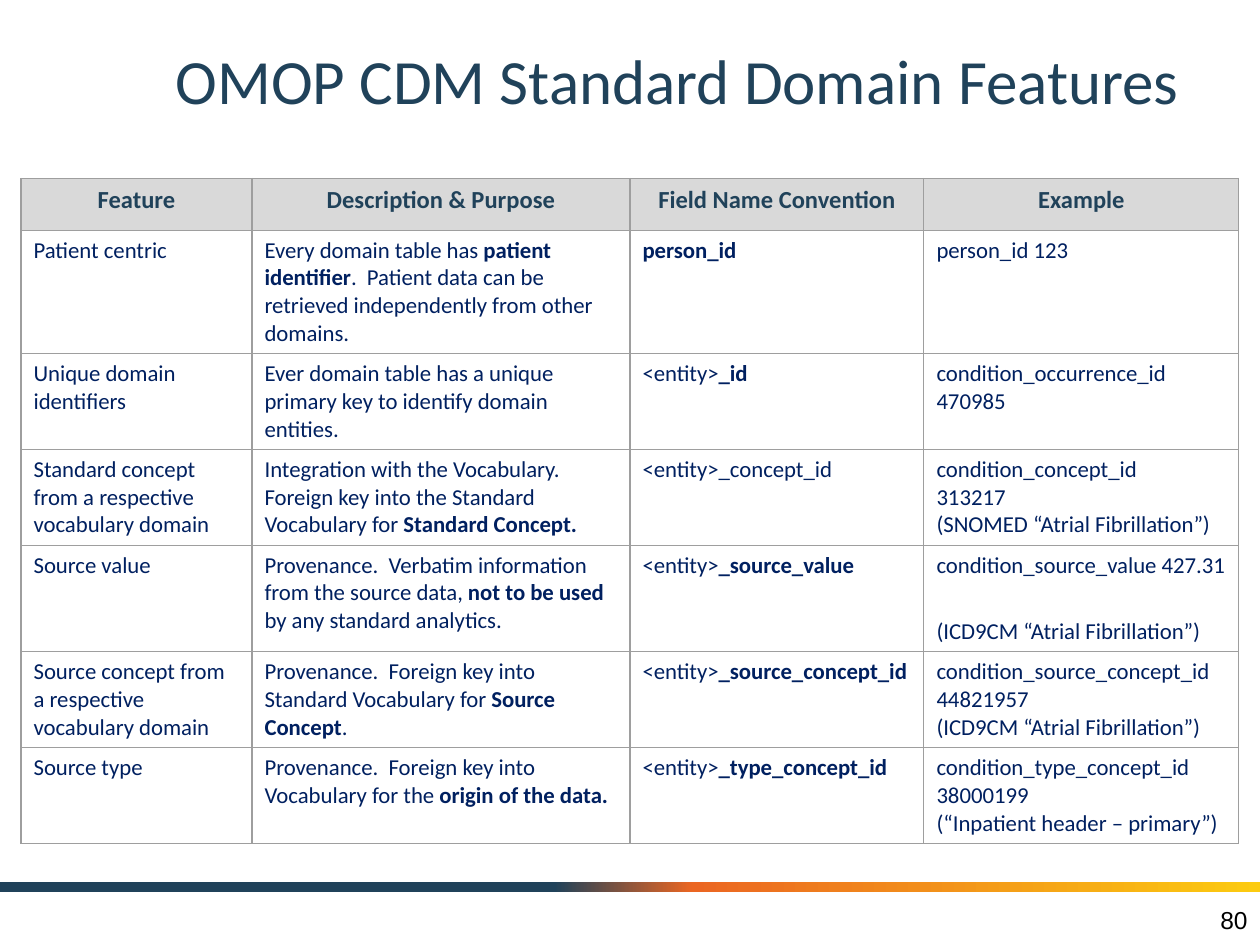
from copy import deepcopy

from lxml import etree
from pptx import Presentation
from pptx.dml.color import RGBColor
from pptx.enum import shapes, text
from pptx.oxml import ns
from pptx.util import Pt

# Content: ** switches bold on and off, a newline is a line break
TITLE = "OMOP CDM Standard Domain Features"
PAGE_NUMBER = "80"
HEADER = ["Feature", "Description & Purpose", "Field Name Convention", "Example"]
FEATURES = [
    ["Patient centric",
     "Every domain table has **patient identifier**.  Patient data can be "
     "retrieved independently from other domains.",
     "**person_id**",
     "person_id 123"],
    ["Unique domain identifiers",
     "Ever domain table has a unique primary key to identify domain entities.",
     "<entity>**_id**",
     "condition_occurrence_id 470985"],
    ["Standard concept from a respective vocabulary domain",
     "Integration with the Vocabulary.\nForeign key into the Standard "
     "Vocabulary for **Standard Concept.**",
     "<entity>_concept_id",
     "condition_concept_id \n313217 \n(SNOMED “Atrial Fibrillation”)"],
    ["Source value",
     "Provenance.  Verbatim information from the source data, "
     "**not to be used **by any standard analytics.",
     "<entity>**_source_value**",
     "condition_source_value 427.31 \n(ICD9CM “Atrial Fibrillation”)"],
    ["Source concept from a respective vocabulary domain",
     "Provenance.  Foreign key into Standard Vocabulary for **Source Concept**.",
     "<entity>**_source_concept_id**",
     "condition_source_concept_id 44821957 \n(ICD9CM “Atrial Fibrillation”)"],
    ["Source type",
     "Provenance.  Foreign key into Vocabulary for the **origin of the data.**",
     "<entity>**_type_concept_id**",
     "condition_type_concept_id 38000199 \n(“Inpatient header – primary”)"],
]
COLUMN_WIDTHS = [132, 216, 168, 180]
ROW_HEIGHT = 29.5  # minimum; rows grow with their text
TEAL, NAVY, GREY, BORDER = "20425A", "002060", "D9D9D9", "9E9E9E"
BAND_STOPS = [(0, TEAL), (0.44, TEAL), (0.55, "EB6622"), (1, "FCCB10")]


def color(value):
    return RGBColor.from_string(value)


def write(frame, content, size, ink, font="Calibri", bold=False, align=None):
    para = frame.paragraphs[0]
    para.alignment = align
    for index, part in enumerate(content.split("**")):
        for number, line in enumerate(part.split("\n")):
            if number:
                para.add_line_break()
            if line:
                span = para.add_run()
                span.text = line
                span.font.name = font
                span.font.size = Pt(size)
                span.font.bold = bold or index % 2 == 1
                span.font.color.rgb = color(ink)


def add_borders(cell):
    properties = cell._tc.get_or_add_tcPr()
    for index, side in enumerate(("lnL", "lnR", "lnT", "lnB")):
        line = etree.Element(ns.qn("a:" + side), w=str(Pt(0.75)))
        fill = etree.SubElement(line, ns.qn("a:solidFill"))
        etree.SubElement(fill, ns.qn("a:srgbClr"), val=BORDER)
        properties.insert(index, line)


deck = Presentation()
deck.slide_width, deck.slide_height = Pt(720), Pt(540)
page = deck.slides.add_slide(deck.slide_layouts[5])

# Gradient band above the footer
band = page.shapes.add_shape(
    shapes.MSO_SHAPE.RECTANGLE, Pt(0), Pt(504), Pt(720), Pt(5.76))
band.shadow.inherit = False
band.line.fill.background()
band.fill.gradient()
band.fill.gradient_angle = 0
stop_list = band._element.spPr.find(".//" + ns.qn("a:gsLst"))
while len(stop_list) < len(BAND_STOPS):
    stop_list.append(deepcopy(stop_list[0]))
for stop, (position, value) in zip(band.fill.gradient_stops, BAND_STOPS):
    stop.position = position
    stop.color.rgb = color(value)

# Title
title = page.shapes.title
title.left, title.top, title.width, title.height = Pt(90), Pt(12.24), Pt(594), Pt(66.24)
title.text_frame.vertical_anchor = text.MSO_ANCHOR.MIDDLE
write(title.text_frame, TITLE, 36, TEAL, align=text.PP_ALIGN.CENTER)

# Feature table
rows = [HEADER] + FEATURES
holder = page.shapes.add_table(
    len(rows), len(HEADER), Pt(12), Pt(102), Pt(sum(COLUMN_WIDTHS)),
    Pt(ROW_HEIGHT * len(rows)))
table = holder.table
table.horz_banding = False
for column, width in zip(table.columns, COLUMN_WIDTHS):
    column.width = Pt(width)
for r, row in enumerate(rows):
    for c, content in enumerate(row):
        cell = table.cell(r, c)
        if r == 0:
            cell.fill.solid()
            cell.fill.fore_color.rgb = color(GREY)
            write(cell.text_frame, content, 14, TEAL, bold=True,
                  align=text.PP_ALIGN.CENTER)
        else:
            cell.fill.background()
            write(cell.text_frame, content, 13, NAVY)
        add_borders(cell)

# Page number
box = page.shapes.add_textbox(Pt(552), Pt(511.2), Pt(168), Pt(28.8))
box.text_frame.word_wrap = True
box.text_frame.vertical_anchor = text.MSO_ANCHOR.MIDDLE
write(box.text_frame, PAGE_NUMBER, 14, "000000", font="Arial",
      align=text.PP_ALIGN.RIGHT)

deck.save("out.pptx")
